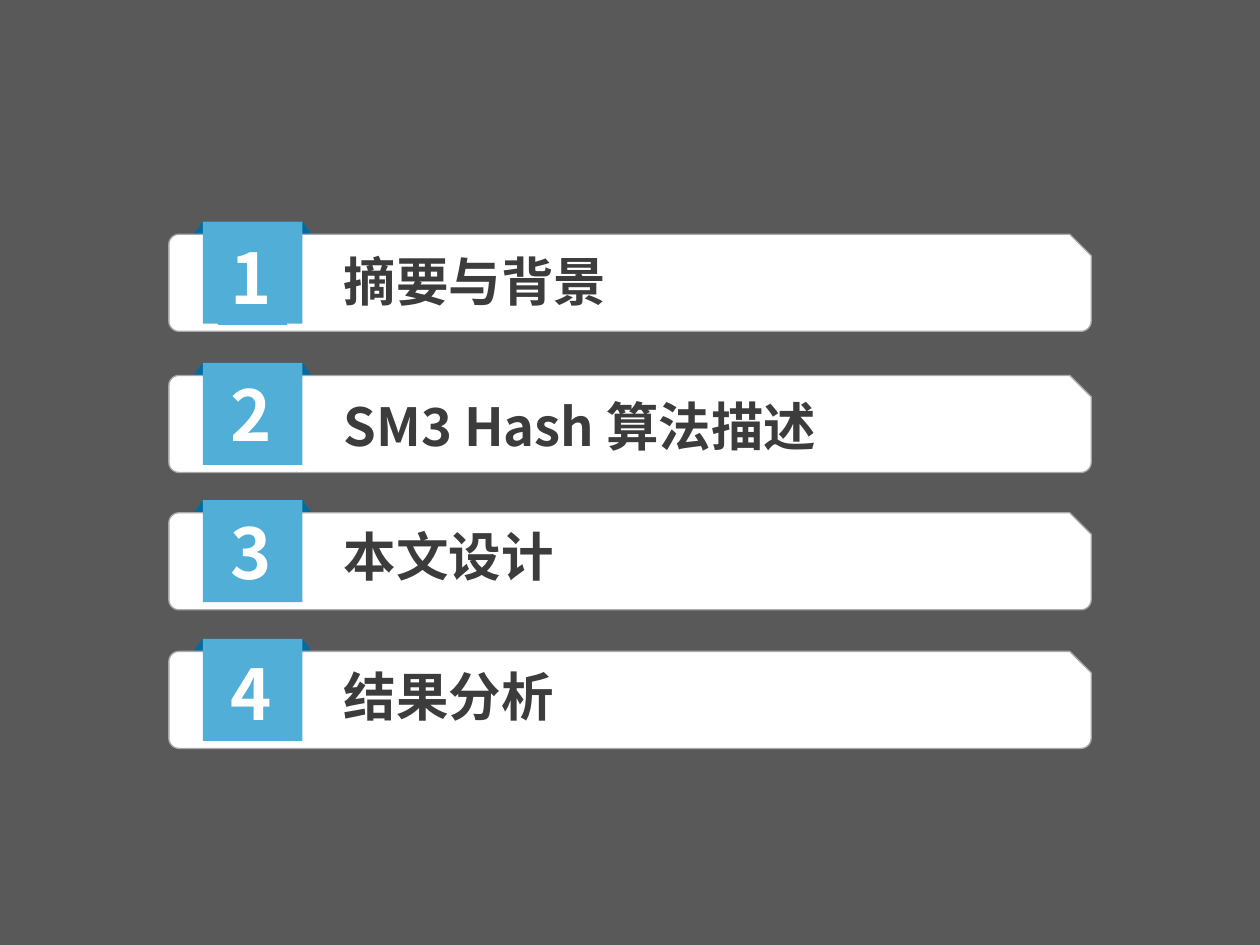
from math import cos, radians, sin

from lxml import etree
from pptx import Presentation
from pptx.dml.color import RGBColor
from pptx.enum.shapes import MSO_SHAPE
from pptx.enum.text import MSO_ANCHOR
from pptx.oxml.ns import qn
from pptx.util import Inches, Pt

RECTANGLE = MSO_SHAPE.RECTANGLE
MIDDLE = MSO_ANCHOR.MIDDLE
FONT = "Noto Sans CJK SC"
GREY, WHITE, EDGE = "595959", "FFFFFF", "A8A9AD"
BLUE, DARK_BLUE, INK = "51AED7", "006BA0", "3C3C3C"

# heading, top of the tab, top of the number, top of the heading, heading width
AGENDA = [
    ("摘要与背景", 1.76, 1.81, 1.93, 2.28),
    ("SM3 Hash 算法描述", 2.88, 2.90, 3.08, 4.11),
    ("本文设计", 3.97, 3.99, 4.11, 1.87),
    ("结果分析", 5.07, 5.11, 5.22, 1.87),
]
BAR_LEFT, BAR_RIGHT, BAR_HEIGHT = 1.34, 8.66, 0.77
BAR_DROP = 0.1  # from the top of the tab to the top of the bar
RADIUS, CUT = 0.08, 0.17
TAB_LEFT, TAB_WIDTH, TAB_HEIGHT = 1.61, 0.79, 0.81
FOLD_OUT, FOLD_HEIGHT = 0.09, 0.12
NUMBER_LEFT, HEADING_LEFT = 1.73, 2.63


def color(code):
    return RGBColor.from_string(code)


def paint(shape, fill, line=None):
    shape.shadow.inherit = False
    shape.fill.solid()
    shape.fill.fore_color.rgb = color(fill)
    if line:
        shape.line.color.rgb = color(line)
        shape.line.width = Pt(0)
    else:
        shape.line.fill.background()


def add_polygon(page, points, fill, line=None):
    corners = [(Inches(x), Inches(y)) for x, y in points]
    builder = page.shapes.build_freeform(*corners[0])
    builder.add_line_segments(corners[1:], close=True)
    paint(builder.convert_to_shape(), fill, line)


def arc(x, y, start):
    """Points of a quarter circle around (x, y), clockwise from start degrees."""
    angles = [radians(start + step) for step in range(0, 91, 15)]
    return [(x + RADIUS * cos(a), y + RADIUS * sin(a)) for a in angles]


def add_bar(page, top):
    bottom = top + BAR_HEIGHT
    points = [(BAR_RIGHT - CUT, top), (BAR_RIGHT, top + CUT)]
    points += arc(BAR_RIGHT - RADIUS, bottom - RADIUS, 0)
    points += arc(BAR_LEFT + RADIUS, bottom - RADIUS, 90)
    points += arc(BAR_LEFT + RADIUS, top + RADIUS, 180)
    add_polygon(page, points, WHITE, EDGE)


def add_fold(page, top):
    right, bottom = TAB_LEFT + TAB_WIDTH, top + FOLD_HEIGHT
    add_polygon(page, [(TAB_LEFT, top), (right, top), (right + FOLD_OUT, bottom),
                       (TAB_LEFT - FOLD_OUT, bottom)], DARK_BLUE)


def add_text(page, text, left, top, width, height, size, ink):
    box = page.shapes.add_textbox(*map(Inches, (left, top, width, height)))
    box.text_frame.word_wrap = False
    box.text_frame.vertical_anchor = MIDDLE
    para = box.text_frame.paragraphs[0]
    para.text = text
    para.font.name = FONT
    para.font.size = Pt(size)
    para.font.bold = True
    para.font.color.rgb = color(ink)
    defaults = para._p.pPr.find(qn("a:defRPr"))
    etree.SubElement(defaults, qn("a:ea")).set("typeface", FONT)
    return box


def main():
    deck = Presentation()
    deck.slide_width, deck.slide_height = Inches(10), Inches(7.5)
    page = deck.slides.add_slide(deck.slide_layouts[6])
    page.background.fill.solid()
    page.background.fill.fore_color.rgb = color(GREY)

    for number, (heading, tab_top, number_top, heading_top, width) in enumerate(AGENDA, 1):
        add_fold(page, tab_top)
        add_bar(page, tab_top + BAR_DROP)
        tab = page.shapes.add_shape(
            RECTANGLE, *map(Inches, (TAB_LEFT, tab_top, TAB_WIDTH, TAB_HEIGHT)))
        paint(tab, BLUE)
        add_text(page, heading, HEADING_LEFT, heading_top, width, 0.6, 30, INK)
        digit = add_text(page, str(number), NUMBER_LEFT, number_top, 0.55, 0.77, 40, WHITE)
        digit.fill.solid()
        digit.fill.fore_color.rgb = color(BLUE)

    deck.save("out.pptx")


if __name__ == "__main__":
    main()
